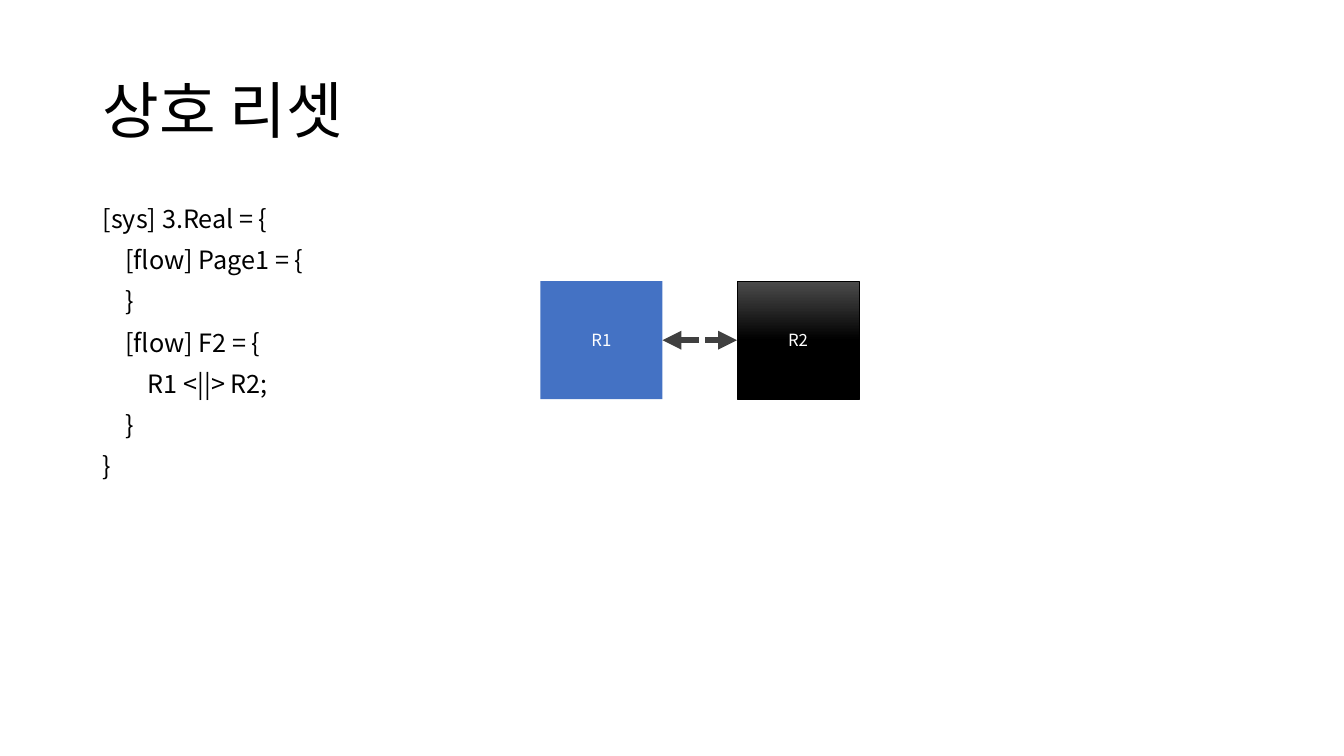
import copy
from typing import NamedTuple

import pptx
import pptx.dml.color
import pptx.enum.dml
import pptx.enum.shapes
import pptx.enum.text
import pptx.oxml
import pptx.oxml.ns
import pptx.util

Inches, Pt, qn = pptx.util.Inches, pptx.util.Pt, pptx.oxml.ns.qn
ANCHOR = pptx.enum.text.MSO_ANCHOR
ALIGN = pptx.enum.text.PP_ALIGN
FONT = "Noto Sans CJK KR"
CODE = [
    "[sys] 3.Real = {",
    "    [flow] Page1 = {",
    "    }",
    "    [flow] F2 = {",
    "        R1 <||> R2;",
    "    }",
    "}",
]


class TextBlock(NamedTuple):
    lines: list[str]
    top: float
    height: float
    size: int
    anchor: ANCHOR


class Node(NamedTuple):
    label: str
    left: float
    stops: list[tuple[float, str]]  # a single stop is a solid fill


BLOCKS = [
    TextBlock(["상호 리셋"], 0.4, 1.45, 44, ANCHOR.MIDDLE),
    TextBlock(CODE, 2, 4.76, 18, ANCHOR.TOP),
]
NODES = [
    Node("R1", 5.36, [(0, "4472C4")]),
    Node("R2", 7.31, [(0, "4B4B4B"), (0.5, "000000"), (1, "000000")]),
]


def rgb(value: str) -> pptx.dml.color.RGBColor:
    return pptx.dml.color.RGBColor.from_string(value)


def add_run(p, text: str, size: int, color: str) -> None:
    r = p.add_run()
    r.text = text
    for name, value in {"name": FONT, "size": Pt(size)}.items():
        setattr(r.font, name, value)
    r.font.color.rgb = rgb(color)
    # East Asian typeface for the Hangul
    ea = r.font._element.makeelement(qn("a:ea"), {"typeface": FONT})
    r.font._element.append(ea)


def add_text(s, block: TextBlock) -> None:
    sp = s.shapes.add_textbox(Inches(0.92), Inches(block.top),
                              Inches(11.5), Inches(block.height))
    tf = sp.text_frame
    for name, value in {"word_wrap": True, "vertical_anchor": block.anchor}.items():
        setattr(tf, name, value)
    for i, line in enumerate(block.lines):
        p = tf.add_paragraph() if i else tf.paragraphs[0]
        for name, value in {"line_spacing": 0.9, "space_before": Pt(10 if i else 0)}.items():
            setattr(p, name, value)
        add_run(p, line, block.size, "000000")


def add_node(s, node: Node):
    sp = s.shapes.add_shape(pptx.enum.shapes.MSO_SHAPE.RECTANGLE, Inches(node.left),
                            Inches(2.79), Inches(1.21), Inches(1.17))
    sp.shadow.inherit = False
    if len(node.stops) == 1:
        sp.fill.solid()
        sp.fill.fore_color.rgb = rgb(node.stops[0][1])
        sp.line.fill.background()
    else:
        sp.fill.gradient()
        sp.fill.gradient_angle = 270
        stops = next(sp.element.iter(qn("a:gsLst")))
        while len(stops) < len(node.stops):
            stops.append(copy.deepcopy(stops[-1]))
        for stop, (position, color) in zip(sp.fill.gradient_stops, node.stops):
            stop.position = position
            stop.color.rgb = rgb(color)
        sp.line.color.rgb = rgb("000000")
        sp.line.width = Pt(0.5)
    tf = sp.text_frame
    tf.vertical_anchor = ANCHOR.MIDDLE
    p = tf.paragraphs[0]
    p.alignment = ALIGN.CENTER
    add_run(p, node.label, 12, "FFFFFF")
    return sp


def add_double_arrow(s, start, end) -> None:
    y = start.top + start.height // 2
    cxn = s.shapes.add_connector(pptx.enum.shapes.MSO_CONNECTOR.STRAIGHT,
                                 start.left + start.width, y, end.left, y)
    cxn.begin_connect(start, 3)
    cxn.end_connect(end, 1)
    cxn.line.color.rgb = rgb("404040")
    for name, value in {"width": Pt(4.5),
                        "dash_style": pptx.enum.dml.MSO_LINE.SQUARE_DOT}.items():
        setattr(cxn.line, name, value)
    # Arrowheads on both ends, no shadow
    ln = cxn.line._get_or_add_ln()
    for tag in ("a:headEnd", "a:tailEnd"):
        ln.append(ln.makeelement(qn(tag), {"type": "triangle"}))
    ln.addnext(ln.makeelement(qn("a:effectLst"), {}))


def main() -> None:
    prs = pptx.Presentation()
    prs.slide_width, prs.slide_height = Inches(13.33), Inches(7.5)
    s = prs.slides.add_slide(prs.slide_layouts[6])

    # Title and code
    for block in BLOCKS:
        add_text(s, block)

    # Mutual reset diagram
    r1, r2 = [add_node(s, node) for node in NODES]
    add_double_arrow(s, r1, r2)

    prs.save("out.pptx")


if __name__ == "__main__":
    main()
